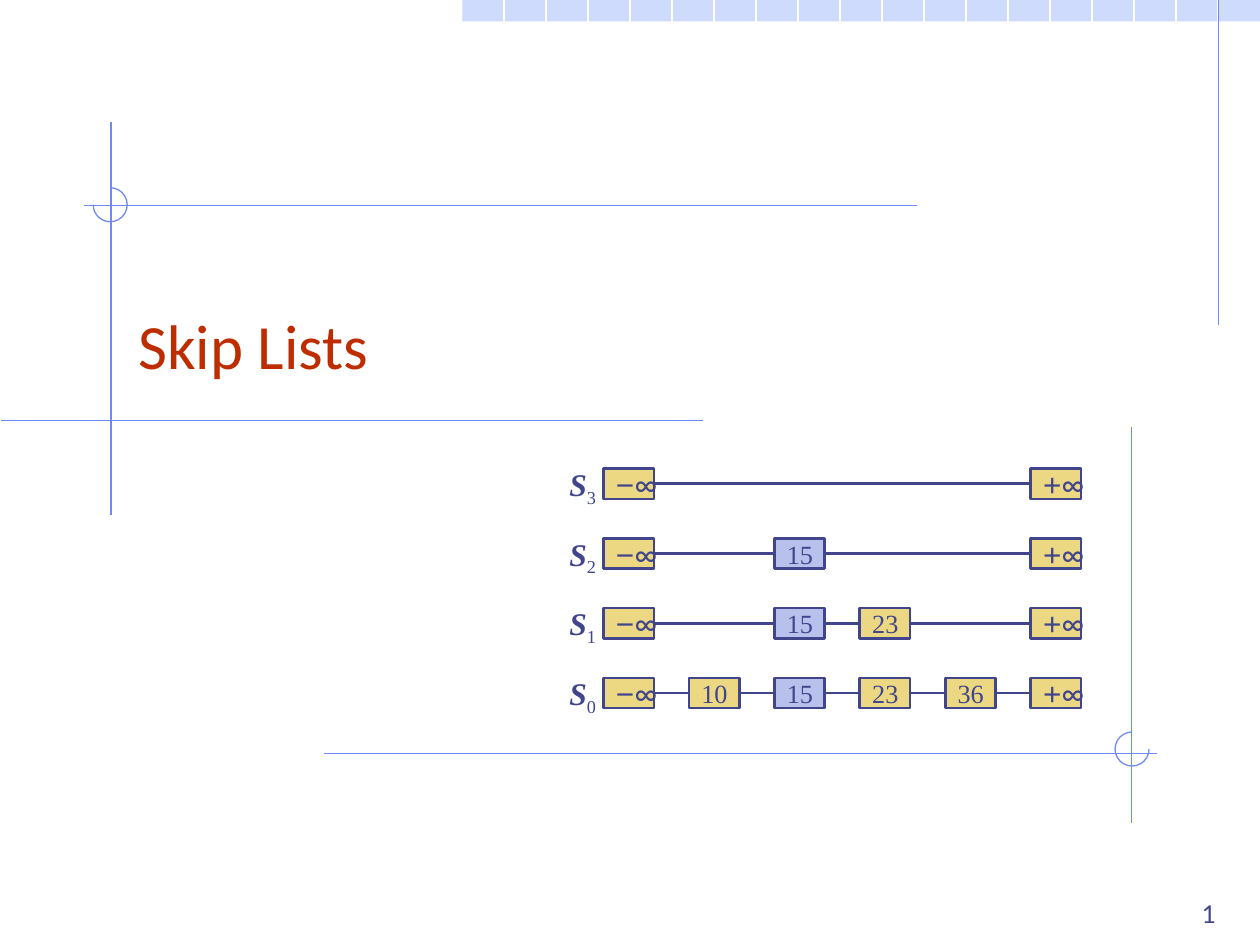
from dataclasses import dataclass
from itertools import pairwise

from pptx import Presentation
from pptx.dml.color import RGBColor
from pptx.enum.shapes import MSO_CONNECTOR, MSO_SHAPE
from pptx.enum.text import MSO_ANCHOR, MSO_AUTO_SIZE, PP_ALIGN
from pptx.oxml import parse_xml
from pptx.oxml.ns import nsdecls
from pptx.util import Inches, Pt


@dataclass(frozen=True)
class Theme:
    band: str = "CFDBFD"
    grid: str = "FFFFFF"
    rule: str = "6F89F7"
    title: str = "BE2D00"
    ink: str = "40458C"
    cell: str = "ECD882"
    highlight: str = "B7C1EB"
    title_size: float = 36
    label_size: float = 18
    key_size: float = 15
    number_size: float = 14
    thin: float = 0.75
    thick: float = 1.5
    serif: str = "Times New Roman"


def rgb(value):
    return RGBColor.from_string(value)


def add_run(p, text, *, size, font, color, bold=None, italic=None, subscript=False):
    r = p.add_run()
    r.text = text
    f = r.font
    f.size, f.name, f.bold, f.italic = Pt(size), font, bold, italic
    f.color.rgb = rgb(color)
    if subscript:
        f._element.set("baseline", "-25000")


class SlideBuilder:
    def __init__(self, slide, theme):
        self.shapes, self.theme = slide.shapes, theme

    def line(self, x1, y1, x2, y2, color, width):
        s = self.shapes.add_connector(
            MSO_CONNECTOR.STRAIGHT, Inches(x1), Inches(y1), Inches(x2), Inches(y2))
        s.line.color.rgb, s.line.width = rgb(color), Pt(width)
        s._element.spPr.append(parse_xml(f"<a:effectLst {nsdecls('a')}/>"))

    def rule(self, x1, y1, x2, y2):
        self.line(x1, y1, x2, y2, self.theme.rule, self.theme.thin)

    def shape(self, kind, x, y, w, h, fill=None, line=None, width=0):
        s = self.shapes.add_shape(kind, Inches(x), Inches(y), Inches(w), Inches(h))
        s.shadow.inherit = False
        if fill:
            s.fill.solid()
            s.fill.fore_color.rgb = rgb(fill)
        else:
            s.fill.background()
        if line:
            s.line.color.rgb, s.line.width = rgb(line), Pt(width)
        else:
            s.line.fill.background()
        return s

    def arc(self, x, y, size, start, end):
        """Draw a clockwise arc between two angles in degrees."""
        s = self.shape(MSO_SHAPE.ARC, x, y, size, size,
                       line=self.theme.rule, width=self.theme.thin)
        for i, degrees in enumerate((start, end)):
            s.adjustments[i] = degrees * 0.6  # 60000ths of a degree over 100000

    def text(self, x, y, w, h, *, anchor=MSO_ANCHOR.TOP, align=PP_ALIGN.LEFT, wrap=True):
        """Add a text box and return its first paragraph."""
        tf = self.shapes.add_textbox(Inches(x), Inches(y), Inches(w), Inches(h)).text_frame
        tf.word_wrap, tf.vertical_anchor = wrap, anchor
        tf.auto_size = MSO_AUTO_SIZE.NONE if wrap else MSO_AUTO_SIZE.SHAPE_TO_FIT_TEXT
        p = tf.paragraphs[0]
        p.alignment = align
        return p

    def cell(self, x, y, w, h, key):
        t = self.theme
        fill = t.highlight if key == "15" else t.cell
        tf = self.shape(MSO_SHAPE.RECTANGLE, x, y, w, h, fill, t.ink, t.thick).text_frame
        tf.word_wrap, tf.vertical_anchor = False, MSO_ANCHOR.MIDDLE
        p = tf.paragraphs[0]
        p.alignment = PP_ALIGN.LEFT
        if key.endswith("∞"):
            add_run(p, key[0], size=t.label_size, font="Arial", color=t.ink)
            add_run(p, "∞", size=t.label_size, font="Lato", color=t.ink)
        else:
            add_run(p, key, size=t.key_size, font=t.serif, color=t.ink)

    def label(self, x, y, level):
        t = self.theme
        p = self.text(x, y, 0.42, 0.4, wrap=False)
        add_run(p, "S", size=t.label_size, font=t.serif, color=t.ink, bold=True, italic=True)
        add_run(p, str(level), size=t.label_size, font=t.serif, color=t.ink,
                bold=False, italic=False, subscript=True)


def draw_background(b):
    t = b.theme
    b.shape(MSO_SHAPE.RECTANGLE, 3.67, 0, 6.33, 0.17, t.band)
    for third in range(12, 30):
        b.line(third / 3, 0, third / 3, 7.5, t.grid, t.thin)
    for ends in ((9.67, 0, 9.67, 2.58), (0.88, 0.97, 0.88, 4.09),
                 (5.58, 3.34, 0.01, 3.34), (7.28, 1.63, 0.67, 1.63),
                 (2.57, 5.98, 9.18, 5.98), (8.98, 3.39, 8.98, 6.53)):
        b.rule(*ends)
    b.arc(0.74, 1.49, 0.27, 270, 180)
    b.arc(8.85, 5.81, 0.27, 0, 270)


def draw_skip_list(b):
    """Place every key in its column, one level per row, and link neighbours."""
    levels = {3: [], 2: ["15"], 1: ["15", "23"], 0: ["10", "15", "23", "36"]}
    columns = ["−∞", *levels[0], "+∞"]
    left, top, width, height, gap = 4.79, 3.72, 0.4, 0.24, 0.01
    col_step = (8.18 - left) / (len(columns) - 1)
    row_step = (5.38 - top) / (len(levels) - 1)
    lefts = {key: left + i * col_step for i, key in enumerate(columns)}

    for row, (level, inner) in enumerate(levels.items()):
        y = top + row * row_step
        keys = [columns[0], *inner, columns[-1]]
        b.label(4.42, y - 0.08, level)
        for key in keys:
            b.cell(lefts[key], y, width, height, key)
        for a, z in pairwise(keys):
            b.line(lefts[a] + width + gap, y + height / 2,
                   lefts[z] - gap, y + height / 2, b.theme.ink, b.theme.thick)


def main():
    prs = Presentation()
    prs.slide_width, prs.slide_height = Inches(10), Inches(7.5)
    t = Theme()
    b = SlideBuilder(prs.slides.add_slide(prs.slide_layouts[6]), t)

    draw_background(b)
    title = b.text(1, 1.83, 8.5, 1.25, anchor=MSO_ANCHOR.BOTTOM)
    add_run(title, "Skip Lists", size=t.title_size, font="Calibri", color=t.title)
    draw_skip_list(b)
    number = b.text(7.67, 6.92, 2.08, 0.5, anchor=MSO_ANCHOR.BOTTOM, align=PP_ALIGN.RIGHT)
    add_run(number, "1", size=t.number_size, font="Lato", color=t.ink)

    prs.save("out.pptx")


if __name__ == "__main__":
    main()
